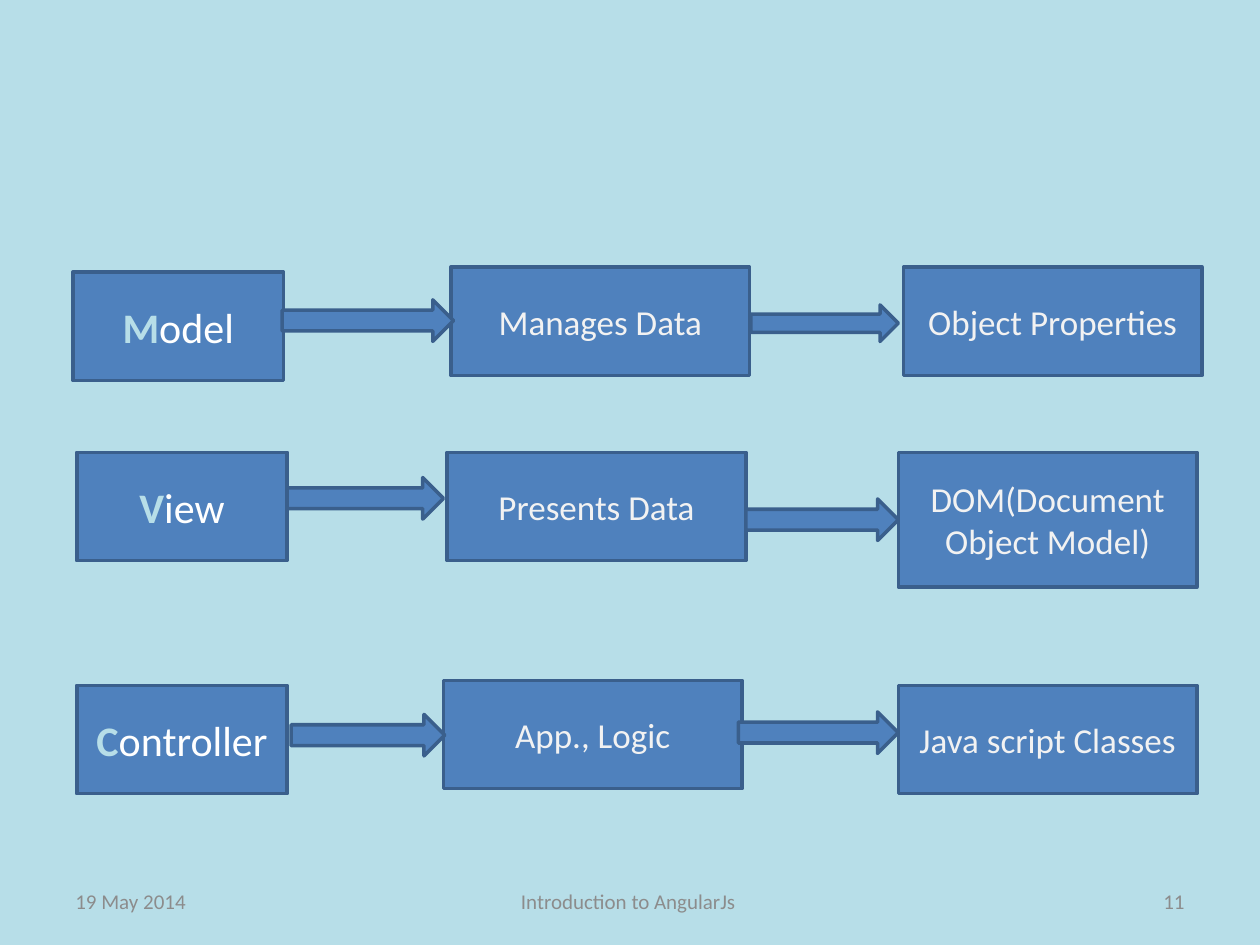
from collections import namedtuple
from dataclasses import dataclass

from pptx import Presentation
from pptx import util as u
from pptx.dml.color import RGBColor
from pptx.enum import shapes, text

# The slide is a grid of 100 columns by 75 rows; all lengths are in grid cells.
COLUMNS, ROWS = 100, 75
CELL = u.Inches(10) // COLUMNS

Box = namedtuple("Box", "left top width height")


@dataclass(frozen=True)
class Theme:
    font: str = "Calibri"
    background: str = "B7DEE8"
    fill: str = "4F81BD"
    outline: str = "3A5F8C"
    initial: str = "B7DEE8"
    role: str = "FFFFFF"
    detail: str = "F2F2F2"
    footer: str = "8C8C8C"
    role_size: int = 24
    detail_size: int = 20
    footer_size: int = 12
    line_width: int = 2


THEME = Theme()
ROLE_WIDTH, DETAIL_WIDTH, BOX_HEIGHT = 16.7, 23.7, 8.6


def inside(parent, left, top, width, height):
    """A box placed relative to its parent's top left corner."""
    return Box(parent.left + left, parent.top + top, width, height)


def emu(box):
    return [round(length * CELL) for length in box]


def write(paragraph, words, *, size, color, bold=False):
    run = paragraph.add_run()
    run.text = words
    run.font.name = THEME.font
    run.font.size = u.Pt(size)
    run.font.bold = bold
    run.font.color.rgb = RGBColor.from_string(color)


def first_paragraph(holder, align):
    frame = holder.text_frame
    frame.word_wrap = True
    frame.vertical_anchor = text.MSO_ANCHOR.MIDDLE
    paragraph = frame.paragraphs[0]
    paragraph.alignment = align
    return paragraph


def add_block(slide, kind, box):
    block = slide.shapes.add_shape(kind, *emu(box))
    block.shadow.inherit = False
    block.fill.solid()
    block.fill.fore_color.rgb = RGBColor.from_string(THEME.fill)
    block.line.color.rgb = RGBColor.from_string(THEME.outline)
    block.line.width = u.Pt(THEME.line_width)
    return block


def add_labelled_box(slide, box):
    block = add_block(slide, shapes.MSO_SHAPE.RECTANGLE, box)
    return first_paragraph(block, text.PP_ALIGN.CENTER)


def add_chain(slide, box, role, details, arrows):
    """One row: a role, its task and its implementation, joined by arrows."""
    role_name, role_top = role
    label = add_labelled_box(
        slide, inside(box, 0, role_top, ROLE_WIDTH, BOX_HEIGHT))
    write(label, role_name[0], size=THEME.role_size, color=THEME.initial, bold=True)
    write(label, role_name[1:], size=THEME.role_size, color=THEME.role)

    for words, left, top, height in details:
        label = add_labelled_box(slide, inside(box, left, top, DETAIL_WIDTH, height))
        write(label, words, size=THEME.detail_size, color=THEME.detail)

    for arrow in arrows:
        add_block(slide, shapes.MSO_SHAPE.RIGHT_ARROW, inside(box, *arrow))


def add_footer(slide, box):
    """Date, title and page number along the bottom."""
    align = text.PP_ALIGN
    for words, left, width, side in (
        ("19 May 2014", 0, 23.3, align.LEFT),
        ("Introduction to AngularJs ", 29.2, 31.7, align.CENTER),
        ("11", 66.7, 23.3, align.RIGHT),
    ):
        holder = slide.shapes.add_textbox(*emu(inside(box, left, 0, width, box.height)))
        write(first_paragraph(holder, side), words,
              size=THEME.footer_size, color=THEME.footer)


def main():
    deck = Presentation()
    deck.slide_width, deck.slide_height = COLUMNS * CELL, ROWS * CELL
    slide = deck.slides.add_slide(deck.slide_layouts[6])
    slide.background.fill.solid()
    slide.background.fill.fore_color.rgb = RGBColor.from_string(THEME.background)

    # Model
    add_chain(
        slide, Box(5.8, 21.2, 89.6, 9), ("Model", 0.4),
        [("Manages Data", 30, 0, BOX_HEIGHT),
         ("Object Properties", 65.9, 0, BOX_HEIGHT)],
        [(16.6, 2.6, 13.6, 3.3), (53.8, 3, 11.7, 2.9)])

    # View
    add_chain(
        slide, Box(6.1, 35.9, 88.9, 10.7), ("View", 0),
        [("Presents Data", 29.4, 0, BOX_HEIGHT),
         ("DOM(Document Object Model)", 65.2, 0, 10.7)],
        [(16.7, 2, 12.4, 3.3), (53.1, 3.7, 12.1, 3.3)])

    # Controller
    add_chain(
        slide, Box(6.1, 54, 88.9, 9), ("Controller", 0.4),
        [("App., Logic", 29.1, 0, BOX_HEIGHT),
         ("Java script Classes", 65.2, 0.4, BOX_HEIGHT)],
        [(17, 2.7, 12.2, 3.3), (52.5, 2.5, 12.7, 3.3)])

    add_footer(slide, Box(5, 69.5, 90, 4))
    deck.save("out.pptx")


if __name__ == "__main__":
    main()
